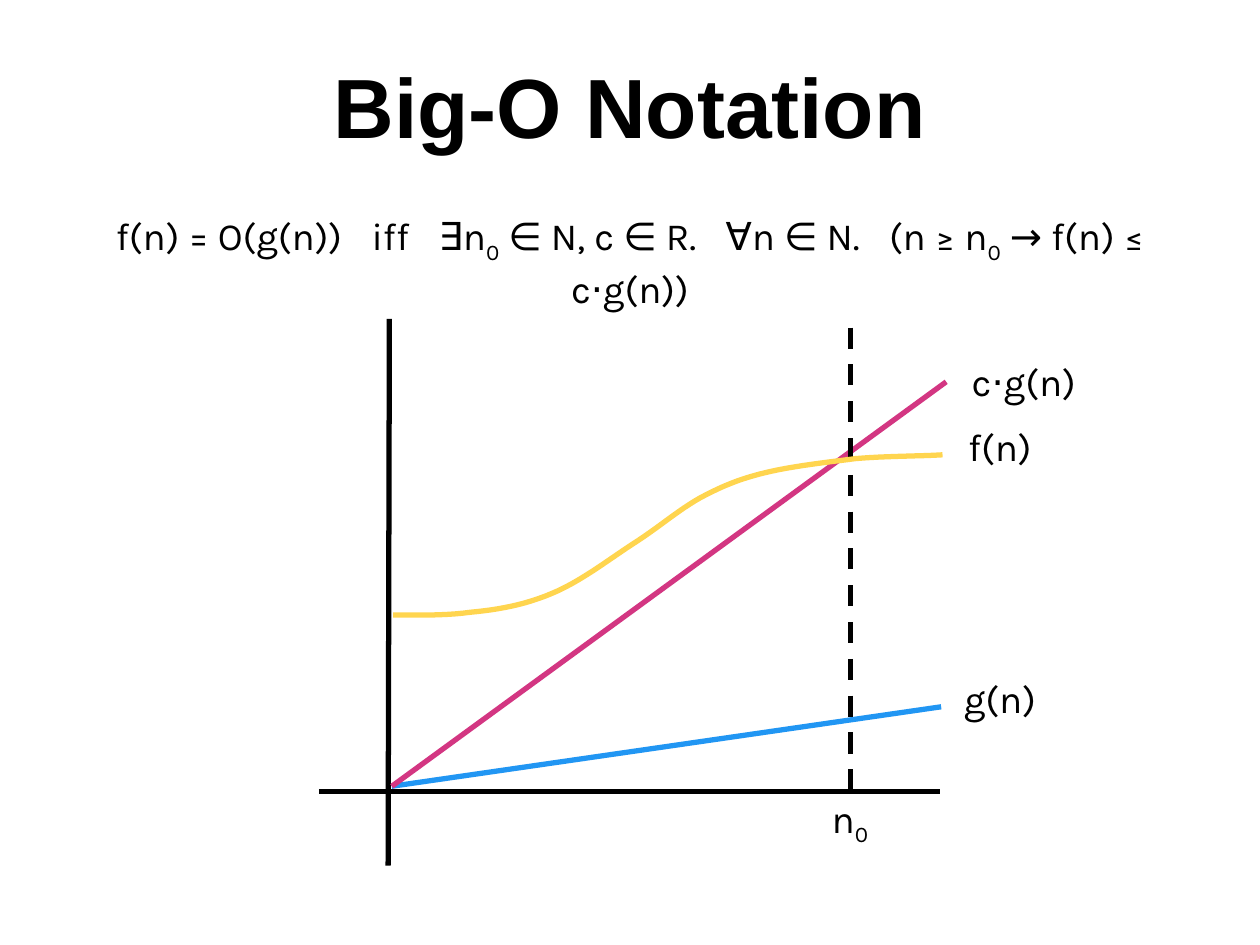
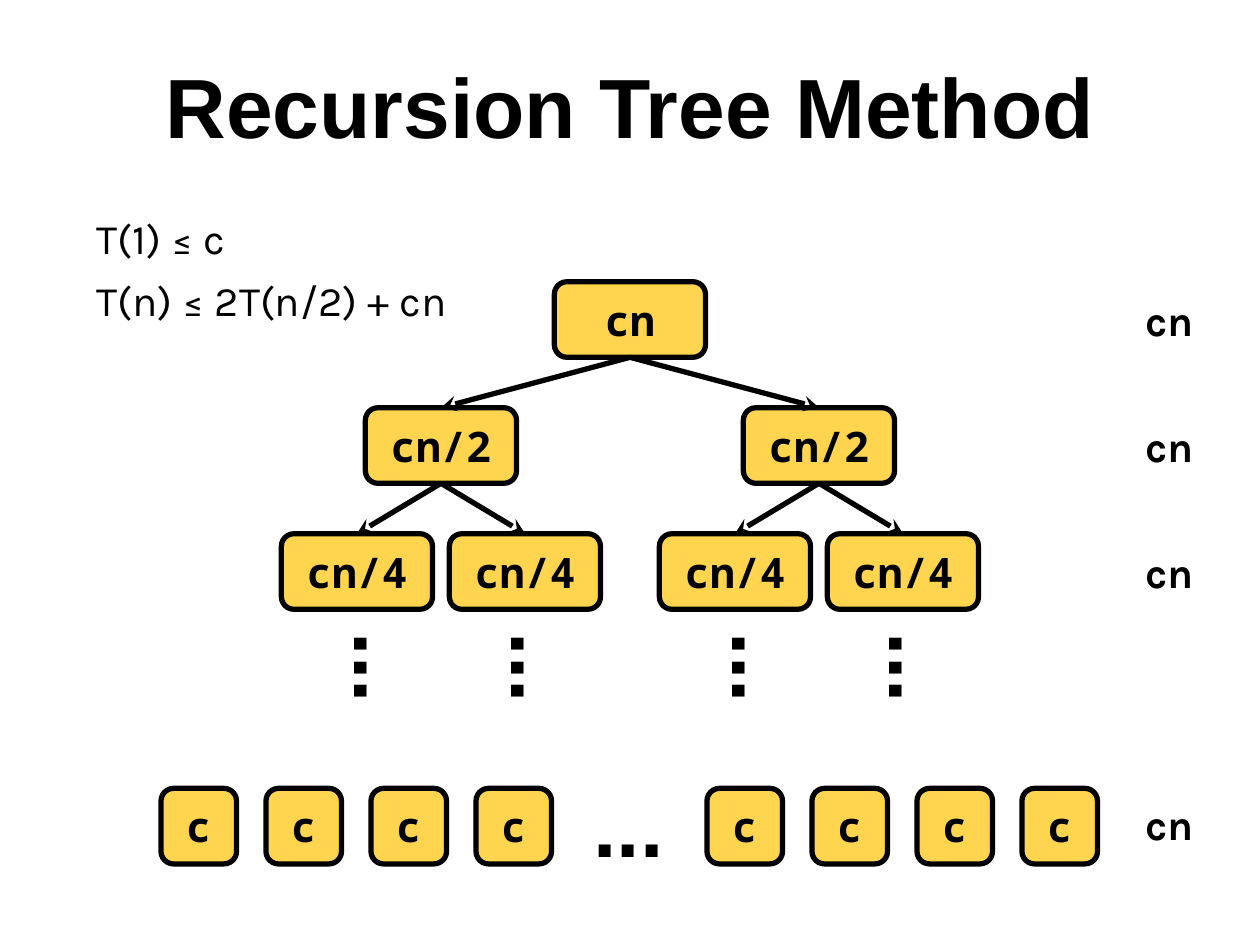
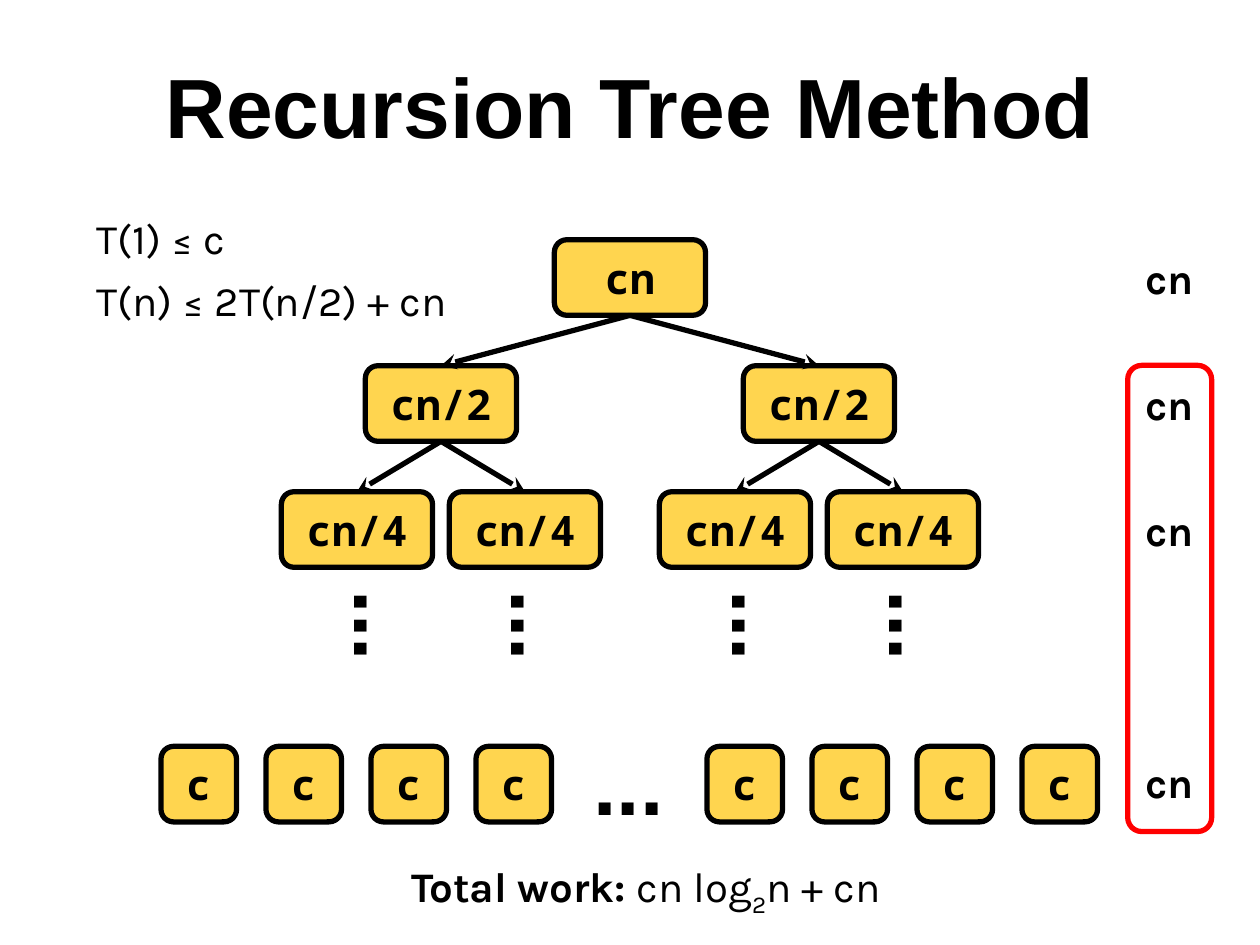
from lxml.etree import SubElement
from pptx import Presentation
from pptx.dml.color import RGBColor
from pptx.enum.dml import MSO_LINE
from pptx.enum.shapes import MSO_CONNECTOR, MSO_SHAPE
from pptx.enum.text import MSO_ANCHOR, MSO_AUTO_SIZE, PP_ALIGN
from pptx.oxml.ns import qn
from pptx.util import Pt

BLACK = RGBColor(0x00, 0x00, 0x00)
GOLD = RGBColor(0xFF, 0xD5, 0x4F)
BLUE = RGBColor(0x21, 0x96, 0xF3)
PINK = RGBColor(0xD3, 0x36, 0x82)
RED = RGBColor(0xFF, 0x00, 0x00)

SANS, BODY, MONO = "Arial", "Karla", "Noto Sans Mono"
STROKE = 3

# Runs with their own attributes
ZERO = ("0", {"baseline": "-25000"})
TWO = ("2", {"baseline": "-25000"})
GAP = (" ", {"spc": "1150"})

# Start of f(n), then two handles and an end for each Bézier piece
START = (224.6, 351.4)
CURVE = [
    ((231.8, 351.4), (253.4, 352.1), (268.6, 349.9)),
    ((284.4, 348.5), (300.2, 345.6), (315.4, 339.1)),
    ((331.2, 332.6), (347, 320.4), (361.4, 311)),
    ((375.1, 302.4), (387.4, 291.6), (400.3, 284.4)),
    ((412.6, 277.9), (422.6, 273.6), (437.8, 270)),
    ((452.9, 266.4), (472.3, 264.2), (488.9, 262.1)),
    ((505.4, 260.6), (530.6, 260.6), (538.6, 259.9)),
]


def write(shape, *paras, size=24, font=BODY, bold=False, align=PP_ALIGN.CENTER,
          anchor=MSO_ANCHOR.MIDDLE, before=0):
    """Fill a shape; a paragraph is a string or a list of runs."""
    frame = shape.text_frame
    frame.word_wrap = True
    frame.auto_size = MSO_AUTO_SIZE.NONE
    frame.vertical_anchor = anchor
    frame.margin_left = frame.margin_right = Pt(7.2)
    frame.margin_top = frame.margin_bottom = Pt(7.2)
    for i, runs in enumerate(paras):
        para = frame.add_paragraph() if i else frame.paragraphs[0]
        para.alignment = align
        para.space_before = Pt(before if i else 0)
        for part in [runs] if isinstance(runs, str) else runs:
            text, extra = (part, {}) if isinstance(part, str) else part
            run = para.add_run()
            run.text = text
            run.font.size = Pt(size)
            run.font.name = font
            run.font.bold = bold
            run.font.color.rgb = BLACK
            props = run._r.get_or_add_rPr()
            for tag in ("a:ea", "a:cs"):
                SubElement(props, qn(tag), typeface=font)
            for key, value in extra.items():
                props.set(key, value)


def place(shape, left, top, width, height):
    shape.left, shape.top = Pt(left), Pt(top)
    shape.width, shape.height = Pt(width), Pt(height)


def start(deck, title, *paras, **style):
    """Add a slide with its title and body text."""
    slide = deck.slides.add_slide(deck.slide_layouts[0])
    head, body = slide.placeholders
    place(head, 0, 24, 720, 90)
    write(head, title, size=48, font=SANS, bold=True, anchor=MSO_ANCHOR.TOP)
    place(body, 48, 114, 624, 426)
    write(body, *paras, anchor=MSO_ANCHOR.TOP, **style)
    return slide


def label(slide, text, left, top, width, height, turn=0, **style):
    box = slide.shapes.add_textbox(Pt(left), Pt(top), Pt(width), Pt(height))
    box.rotation = turn
    write(box, text, **style)


def dots(slide, left, top, turn=0):
    label(slide, "...", left, top, 69, 43.2, turn, size=48, font=SANS, bold=True)


def frame(slide, left, top, width, height, color=BLACK, fill=None):
    box = slide.shapes.add_shape(MSO_SHAPE.ROUNDED_RECTANGLE, Pt(left), Pt(top),
                                 Pt(width), Pt(height))
    box.shadow.inherit = False
    if fill is None:
        box.fill.background()
    else:
        box.fill.solid()
        box.fill.fore_color.rgb = fill
    box.line.color.rgb = color
    box.line.width = Pt(STROKE)
    return box


def node(slide, text, left, top, width):
    box = frame(slide, left, top, width, 43.2, fill=GOLD)
    write(box, text, font=MONO, bold=True)
    return box


def line(slide, x1=0, y1=0, x2=0, y2=0, color=BLACK):
    link = slide.shapes.add_connector(MSO_CONNECTOR.STRAIGHT, Pt(x1), Pt(y1),
                                      Pt(x2), Pt(y2))
    link.line.color.rgb = color
    link.line.width = Pt(STROKE)
    SubElement(link._element.spPr, qn("a:effectLst"))
    return link


def arrow(slide, above, below):
    """Link the bottom of one node to the top of another."""
    link = line(slide)
    link.begin_connect(above, 2)
    link.end_connect(below, 0)
    SubElement(link.line._get_or_add_ln(), qn("a:tailEnd"), type="stealth")


def curve(slide, first, pieces, color, steps=12):
    """Draw Bézier pieces as short straight segments."""
    points, a = [], first
    for b, c, d in pieces:
        for step in range(1, steps + 1):
            t = step / steps
            u = 1 - t
            points.append([Pt(u**3 * p + 3*u*u*t * q + 3*u*t*t * r + t**3 * s)
                           for p, q, r, s in zip(a, b, c, d)])
        a = d
    path = slide.shapes.build_freeform(Pt(first[0]), Pt(first[1]))
    path.add_line_segments(points, close=False)
    shape = path.convert_to_shape()
    shape.shadow.inherit = False
    shape.fill.background()
    shape.line.color.rgb = color
    shape.line.width = Pt(STROKE)


def graph(deck):
    slide = start(deck, "Big-O Notation",
                  ["f(n) = O(g(n))", GAP, "iff", GAP, "∃n", ZERO, " ∈ N, c ∈ R.",
                   GAP, "∀n ∈ N.", GAP, "(n ≥ n", ZERO, " → f(n) ≤ c⋅g(n))"],
                  size=22)
    # Axes
    line(slide, 222.5, 182.2, 221.8, 494.6)
    line(slide, 182.2, 452.2, 537.1, 452.2)
    # Functions and threshold
    line(slide, 223.9, 449.3, 537.8, 403.9, BLUE)
    line(slide, 223.9, 449.3, 540.7, 218.2, PINK)
    limit = line(slide, 486, 187.2, 486, 457.9)
    limit.line.dash_style = MSO_LINE.DASH
    curve(slide, START, CURVE, GOLD)
    # Names
    label(slide, "g(n)", 542.9, 373, 56.9, 51.8, size=22)
    label(slide, "c⋅g(n)", 545.8, 195.1, 78.5, 45.4, size=22)
    label(slide, "f(n)", 542.9, 229, 56.9, 51.8, size=22)
    label(slide, ["n", ZERO], 452.9, 452.2, 65.5, 33.8, size=22)


def tree(deck, top):
    """Add a recursion tree whose root is at the given height."""
    slide = start(deck, "Recursion Tree Method", "T(1) ≤ c", "T(n) ≤ 2T(n/2) + cn",
                  align=PP_ALIGN.LEFT, before=7)
    # Nodes, each level split from the one above
    level = [(360, node(slide, "cn", 316.8, top, 86.4))]
    links = []
    for depth, (text, spread) in enumerate([("cn/2", 108), ("cn/4", 48)], 1):
        lower = []
        for mid, above in level:
            for x in (mid - spread, mid + spread):
                below = node(slide, text, x - 43.2, top + 72 * depth, 86.4)
                lower.append((x, below))
                links.append((above, below))
        level = lower
    for above, below in links:
        arrow(slide, above, below)
    # Omitted levels
    for x in (187.2, 277.2, 403.2, 493.2):
        dots(slide, x, top + 199, turn=90)
    # Leaves
    for left in (92, 404):
        for i in range(4):
            node(slide, "c", left + 60 * i, top + 289.5, 43.2)
    dots(slide, 324.7, top + 288)
    # Work per level
    for row in (0, 1, 2, 4):
        label(slide, "cn", 647.3, top - 5 + 72 * row, 43.2, 53.3, bold=True,
              align=PP_ALIGN.LEFT)
    return slide


def main():
    deck = Presentation()
    deck.slide_width, deck.slide_height = Pt(720), Pt(540)
    graph(deck)
    tree(deck, 161)
    last = tree(deck, 137)
    frame(last, 644.4, 208.8, 48, 266.4, color=RED)
    label(last, [("Total work: ", {"b": "1"}), "cn log", TWO, "n + cn"],
          48, 481.7, 642.2, 53.3)
    deck.save("out.pptx")


if __name__ == "__main__":
    main()
